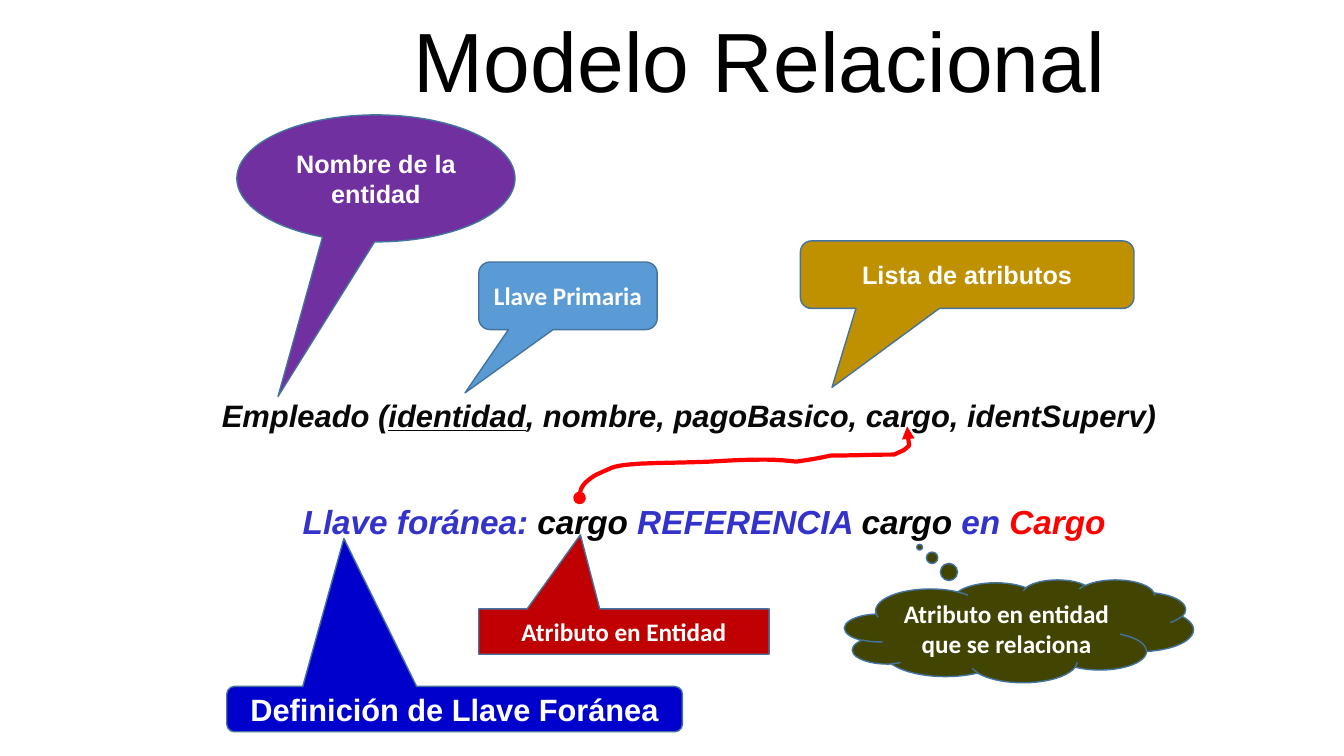
"""Build the slide 'Modelo Relacional': a relation schema and its annotated parts."""
from lxml.etree import SubElement
from pptx import Presentation
from pptx.dml.color import RGBColor
from pptx.enum.shapes import MSO_SHAPE
from pptx.enum.text import MSO_ANCHOR, PP_ALIGN
from pptx.oxml.ns import qn
from pptx.util import Emu, Inches, Pt

COLOURS = {
    "black": "000000", "ink": "080808", "white": "FFFFFF", "outline": "43739E",
    "purple": "7030A0", "sky": "5B9BD5", "gold": "BF9000", "navy": "0000CC",
    "crimson": "C00000", "olive": "424402", "indigo": "3333CC", "red": "FF0000",
}
ROWS = 75

deck = Presentation()
deck.slide_width, deck.slide_height = Inches(40 / 3), Inches(7.5)
slide = deck.slides.add_slide(deck.slide_layouts[0])
heading, subtitle = slide.placeholders
subtitle.element.getparent().remove(subtitle.element)


def cells(*counts):
    """Turn counts of square grid cells into lengths."""
    return [Emu(round(count * deck.slide_height / ROWS)) for count in counts]


def style(font, size, colour, face="Arial", bold=True, italic=False):
    """Set the look of a piece of text."""
    font.name, font.size, font.bold, font.italic = face, Pt(size), bold, italic
    font.color.rgb = RGBColor.from_string(COLOURS[colour])


heading.left, heading.top, heading.width, heading.height = cells(19.9, 0, 110.9, 12.9)
heading.text_frame.text = "Modelo Relacional"
heading.text_frame.vertical_anchor = MSO_ANCHOR.MIDDLE
heading_line = heading.text_frame.paragraphs[0]
heading_line.alignment = PP_ALIGN.CENTER
heading_line.line_spacing = 0.9
style(heading_line.runs[0].font, 60, "black", bold=False)

schema = slide.shapes.add_textbox(*cells(19.9, 34.3, 96.9, 21.3)).text_frame
schema.word_wrap = True
schema.margin_top = cells(5)[0]
relation = schema.paragraphs[0]
foreign_key = schema.add_paragraph()
foreign_key.space_before = Pt(48.5)
foreign_key._p.get_or_add_pPr().set("marL", str(cells(3)[0]))
SCHEMA_LINES = [
    (relation, 22.1, [("Empleado (", "ink"), ("identidad", "ink"),
                      (", nombre, pagoBasico, cargo, identSuperv)", "ink")]),
    (foreign_key, 23.8, [("Llave foránea: ", "indigo"), ("cargo", "black"),
                         (" REFERENCIA ", "indigo"), ("cargo", "black"),
                         (" en ", "indigo"), ("Cargo", "red")]),
]
for line, size, pieces in SCHEMA_LINES:
    line.alignment = PP_ALIGN.CENTER
    for words, colour in pieces:
        piece = line.add_run()
        piece.text = words
        style(piece.font, size, colour, italic=True)
relation.runs[1].font.underline = True

ROUNDED = MSO_SHAPE.ROUNDED_RECTANGULAR_CALLOUT
CALLOUTS = [
    ("Nombre de la entidad", MSO_SHAPE.OVAL_CALLOUT, (23.5, 11.4, 27.6, 12.6),
     (-0.352, 1.718), "purple", "Arial", 18),
    ("Llave Primaria", ROUNDED, (47.5, 26, 17.7, 6.7),
     (-0.577, 1.437), "sky", "Calibri", 18),
    ("Lista de atributos", ROUNDED, (79.4, 23.9, 33.1, 6.7),
     (-0.405, 1.669), "gold", "Arial", 18),
    ("Definición de Llave Foránea", ROUNDED, (22.5, 68.1, 45.2, 4.5),
     (-0.243, -3.762), "navy", "Arial", 22),
    ("Atributo en Entidad", MSO_SHAPE.RECTANGULAR_CALLOUT, (47.5, 60.4, 28.8, 4.5),
     (-0.15, -2.132), "crimson", "Calibri", 18),
    ("Atributo en entidad que se relaciona", MSO_SHAPE.CLOUD_CALLOUT,
     (83.8, 57.5, 34.6, 10.2), (-0.285, -0.815), "olive", "Calibri", 18),
]
for words, preset, place, pointer, colour, face, size in CALLOUTS:
    callout = slide.shapes.add_shape(preset, *cells(*place))
    callout.shadow.inherit = False
    callout.adjustments[0], callout.adjustments[1] = pointer
    callout.fill.solid()
    callout.fill.fore_color.rgb = RGBColor.from_string(COLOURS[colour])
    callout.line.color.rgb = RGBColor.from_string(COLOURS["outline"])
    callout.line.width = Pt(1)
    callout.text_frame.text = words
    callout.text_frame.word_wrap = True
    callout.text_frame.vertical_anchor = MSO_ANCHOR.MIDDLE
    label = callout.text_frame.paragraphs[0]
    label.alignment = PP_ALIGN.CENTER
    style(label.runs[0].font, size, "white", face)

REFERENCE_START = (57.5, 49.4)
REFERENCE_CURVES = [
    ((57.6, 48.9), (57.5, 48.6), (57.9, 48.1)),
    ((58.2, 47.7), (59, 47.1), (59.6, 46.9)),
    ((60, 46.7), (60.3, 46.6), (60.7, 46.4)),
    ((61.3, 46.2), (62, 46.1), (63.5, 46)),
    ((65.8, 45.9), (68.1, 45.9), (70.4, 45.8)),
    ((72.1, 45.7), (73.8, 45.6), (75.5, 45.6)),
    ((76.4, 45.6), (77.3, 45.6), (79, 45.8)),
    ((79.7, 45.7), (81.1, 45.5), (82.4, 45.2)),
    ((84.5, 45.2), (86.6, 45.1), (88.7, 45.1)),
    ((90, 44.5), (89.5, 44.8), (90.2, 44.2)),
    ((90, 42.6), (90, 43.2), (90, 42.3)),
]
STEPS = 6
reference_path = slide.shapes.build_freeform(*cells(*REFERENCE_START))
here = REFERENCE_START
for bend_out, bend_in, there in REFERENCE_CURVES:
    points = []
    for step in range(1, STEPS + 1):
        t = step / STEPS
        weights = (1 - t) ** 3, 3 * t * (1 - t) ** 2, 3 * t * t * (1 - t), t ** 3
        anchors = here, bend_out, bend_in, there
        points.append(cells(*(sum(w * anchor[axis] for w, anchor in zip(weights, anchors))
                              for axis in (0, 1))))
    reference_path.add_line_segments(points, close=False)
    here = there
reference = reference_path.convert_to_shape()
reference.shadow.inherit = False
reference.fill.background()
reference.line.color.rgb = RGBColor.from_string(COLOURS["red"])
reference.line.width = Pt(3)
for end, kind in (("a:headEnd", "oval"), ("a:tailEnd", "triangle")):
    SubElement(reference.line._get_or_add_ln(), qn(end)).set("type", kind)

deck.save("out.pptx")
